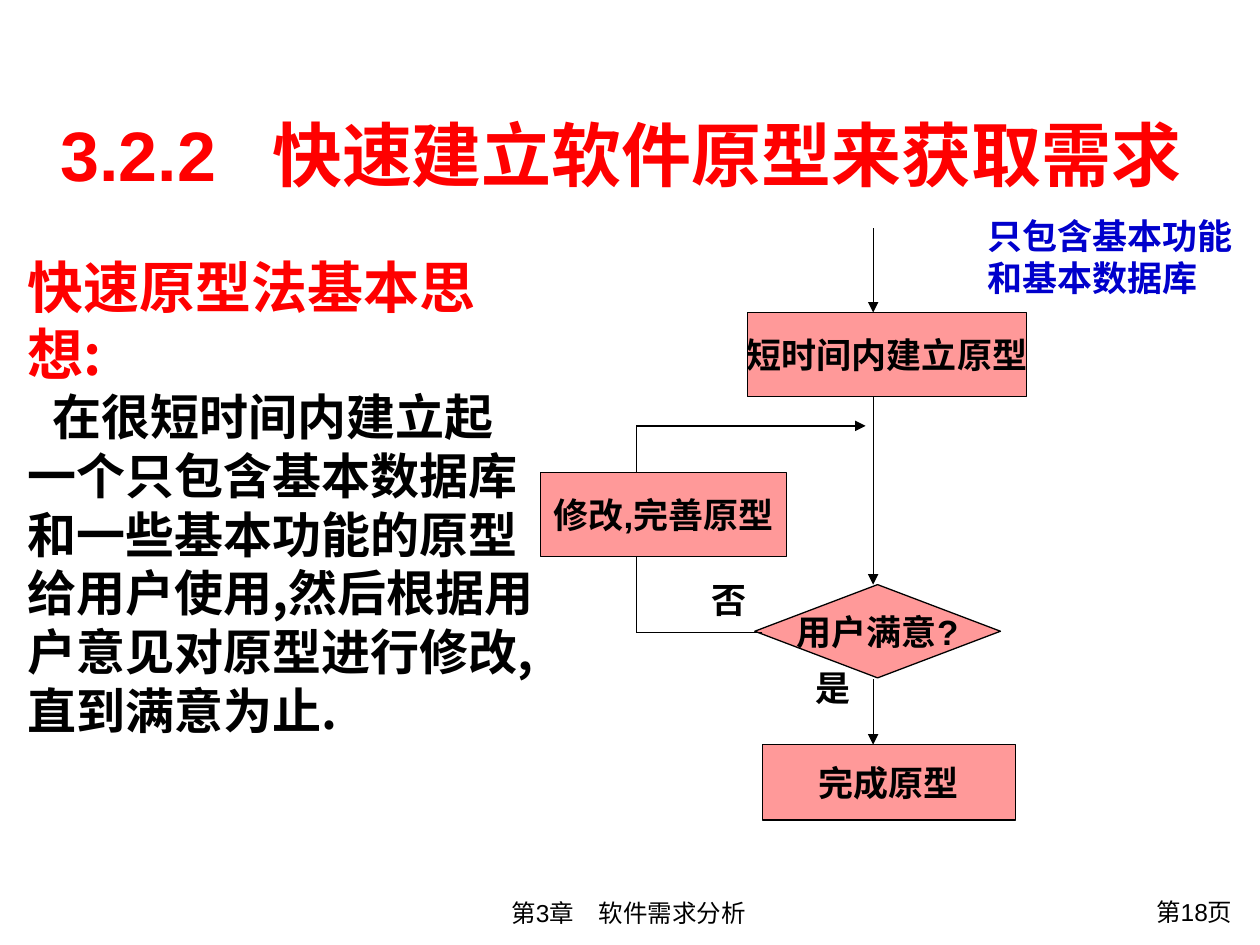
import pptx
import pptx.dml.color
import pptx.enum.shapes
import pptx.enum.text
import pptx.oxml.ns
import pptx.util
from lxml import etree

EMU_PER_PX = 9144
FONT = "Arial"
BODY_FONT = "Noto Sans CJK SC"
COLORS = {"black": "000000", "red": "FF0000", "blue": "0000CC", "pink": "FF9999"}
SHAPES = pptx.enum.shapes.MSO_SHAPE
ALIGN = pptx.enum.text.PP_ALIGN
ANCHOR = pptx.enum.text.MSO_ANCHOR


def px(*values):
    return [pptx.util.Emu(value * EMU_PER_PX) for value in values]


def rgb(name):
    return pptx.dml.color.RGBColor.from_string(COLORS[name])


def add_element(parent, tag, **attributes):
    return etree.SubElement(parent, pptx.oxml.ns.qn(tag), **attributes)


def place(shape, left, top, width, height):
    shape.left, shape.top, shape.width, shape.height = px(left, top, width, height)


def format_paragraph(paragraph, size, color="black", bold=True, align=ALIGN.LEFT, font=FONT):
    paragraph.alignment = align
    for run in paragraph.runs:
        run.font.name = font
        run.font.size = pptx.util.Pt(size)
        run.font.bold = bold
        run.font.color.rgb = rgb(color)


def add_label(slide, box, text, size=20, wrap=False, **style):
    text_frame = slide.shapes.add_textbox(*px(*box)).text_frame
    text_frame.word_wrap = wrap
    text_frame.text = text
    for paragraph in text_frame.paragraphs:
        format_paragraph(paragraph, size, **style)


def add_node(slide, kind, box, text):
    shape = slide.shapes.add_shape(kind, *px(*box))
    shape.shadow.inherit = False
    shape.fill.solid()
    shape.fill.fore_color.rgb = rgb("pink")
    shape.line.color.rgb = rgb("black")
    shape.line.width = pptx.util.Pt(0.75)
    text_frame = shape.text_frame
    text_frame.word_wrap = False
    text_frame.vertical_anchor = ANCHOR.MIDDLE
    text_frame.text = text
    format_paragraph(text_frame.paragraphs[0], 20, align=ALIGN.CENTER)


def add_line(slide, start, end, arrow):
    connector = slide.shapes.add_connector(
        pptx.enum.shapes.MSO_CONNECTOR.STRAIGHT, *px(*start, *end))
    connector.line.color.rgb = rgb("black")
    connector.line.width = pptx.util.Pt(0.75)
    if arrow:
        add_element(connector.line._get_or_add_ln(), "a:tailEnd", type="triangle")
    add_element(connector._element.spPr, "a:effectLst")


def build_title(slide, left, top, width, height):
    title = slide.shapes.title
    place(title, left, top, width, height)
    text_frame = title.text_frame
    text_frame.text = "3.2.2\t快速建立软件原型来获取需求"
    text_frame.vertical_anchor = ANCHOR.MIDDLE
    text_frame.auto_size = pptx.enum.text.MSO_AUTO_SIZE.NONE
    paragraph = text_frame.paragraphs[0]
    tabs = add_element(paragraph._p.get_or_add_pPr(), "a:tabLst")
    add_element(tabs, "a:tab", pos=str(px(168)[0]), algn="l")
    format_paragraph(paragraph, 40, "red")


def build_body(slide, left, top, width, height):
    body = slide.placeholders[1]
    place(body, left, top, width, height)
    text_frame = body.text_frame
    text_frame.auto_size = pptx.enum.text.MSO_AUTO_SIZE.NONE
    paragraphs = [
        ("快速原型法基本思想:", 32, "red", 0),
        ("在很短时间内建立起一个只包含基本数据库和一些基本功能的原型给用户使用,"
         "然后根据用户意见对原型进行修改,直到满意为止.", 28, "black", 20),
    ]
    text_frame.text = "\n".join(item[0] for item in paragraphs)
    for paragraph, (_, size, color, indent) in zip(text_frame.paragraphs, paragraphs):
        properties = paragraph._p.get_or_add_pPr()
        properties.set("marL", "0")
        properties.set("indent", str(px(indent)[0]))
        properties.set("hangingPunct", "0")
        add_element(properties, "a:buNone")
        paragraph.space_before = pptx.util.Pt(0)
        format_paragraph(paragraph, size, color, font=BODY_FONT)


def build_flowchart(slide, left, top):
    main_x, loop_x, loop_top, loop_bottom = 264, 76, 173, 337
    nodes = [
        (SHAPES.RECTANGLE, (164, 83, 222, 67), "短时间内建立原型"),
        (SHAPES.FLOWCHART_DECISION, (170, 299, 195, 74), "用户满意?"),
        (SHAPES.RECTANGLE, (0, 210, 195, 67), "修改,完善原型"),
        (SHAPES.RECTANGLE, (176, 426, 201, 60), "完成原型"),
    ]
    lines = [
        ((main_x, 16), (main_x, 83), True),
        ((main_x, 150), (main_x, 299), True),
        ((main_x, 374), (main_x, 426), True),
        ((176, loop_bottom), (loop_x, loop_bottom), False),
        ((loop_x, 277), (loop_x, loop_bottom), False),
        ((loop_x, loop_top), (loop_x, 210), False),
        ((loop_x, loop_top), (258, loop_top), True),
    ]
    labels = [
        ((126, 289, 48, 44), "否", "black"),
        ((208, 359, 48, 44), "是", "black"),
        ((345, 0, 215, 77), "只包含基本功能\n和基本数据库", "blue"),
    ]
    for kind, (x, y, width, height), text in nodes:
        add_node(slide, kind, (left + x, top + y, width, height), text)
    for start, end, arrow in lines:
        add_line(slide, (left + start[0], top + start[1]),
                 (left + end[0], top + end[1]), arrow)
    for (x, y, width, height), text, color in labels:
        add_label(slide, (left + x, top + y, width, height), text, color=color)


def build_footer(slide, left, top):
    style = {"size": 14, "wrap": True, "bold": False}
    add_label(slide, (left, top + 1, 528, 34), "第3章　软件需求分析", align=ALIGN.CENTER, **style)
    add_label(slide, (left + 619, top, 134, 37), "第18页", align=ALIGN.RIGHT, **style)


def main():
    presentation = pptx.Presentation()
    presentation.slide_width, presentation.slide_height = px(1000, 750)
    slide = presentation.slides.add_slide(presentation.slide_layouts[1])
    build_title(slide, 38, 86, 930, 72)
    build_body(slide, 12, 195, 422, 404)
    build_flowchart(slide, 429, 165)
    build_footer(slide, 235, 707)
    presentation.save("out.pptx")


if __name__ == "__main__":
    main()
